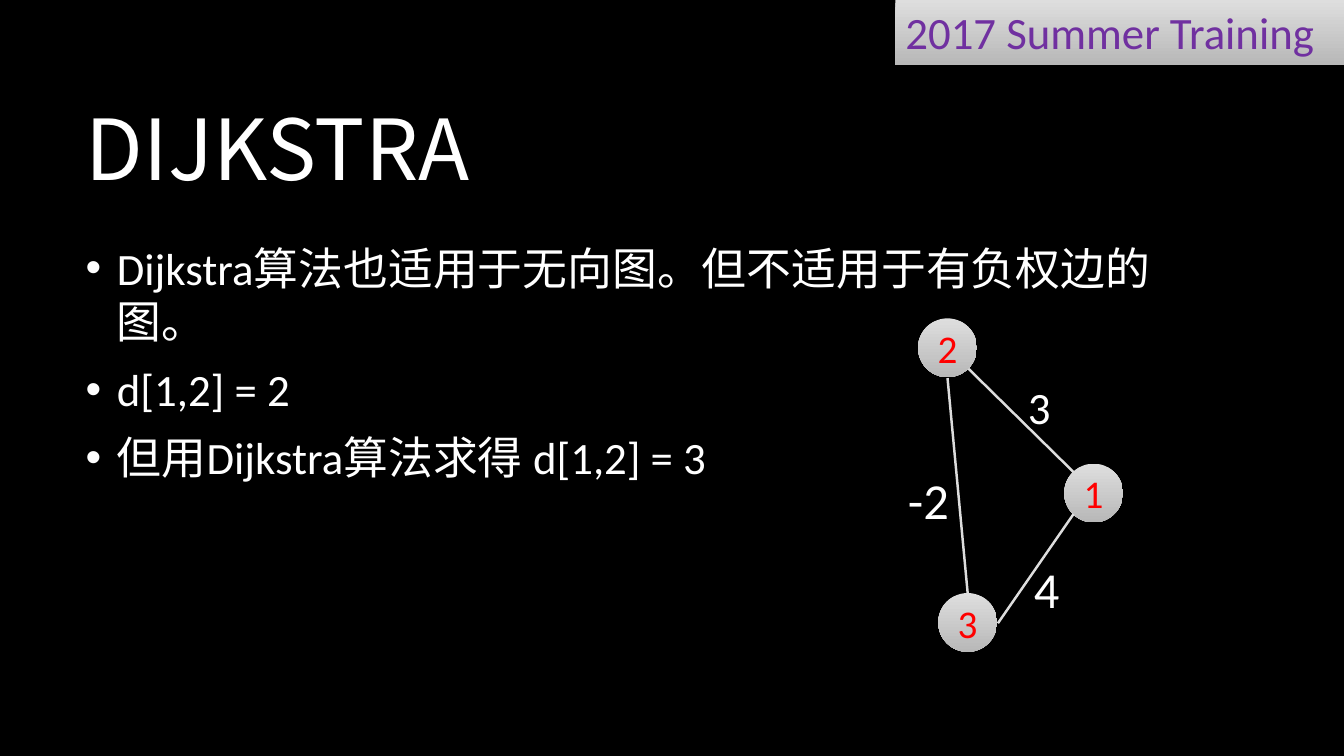
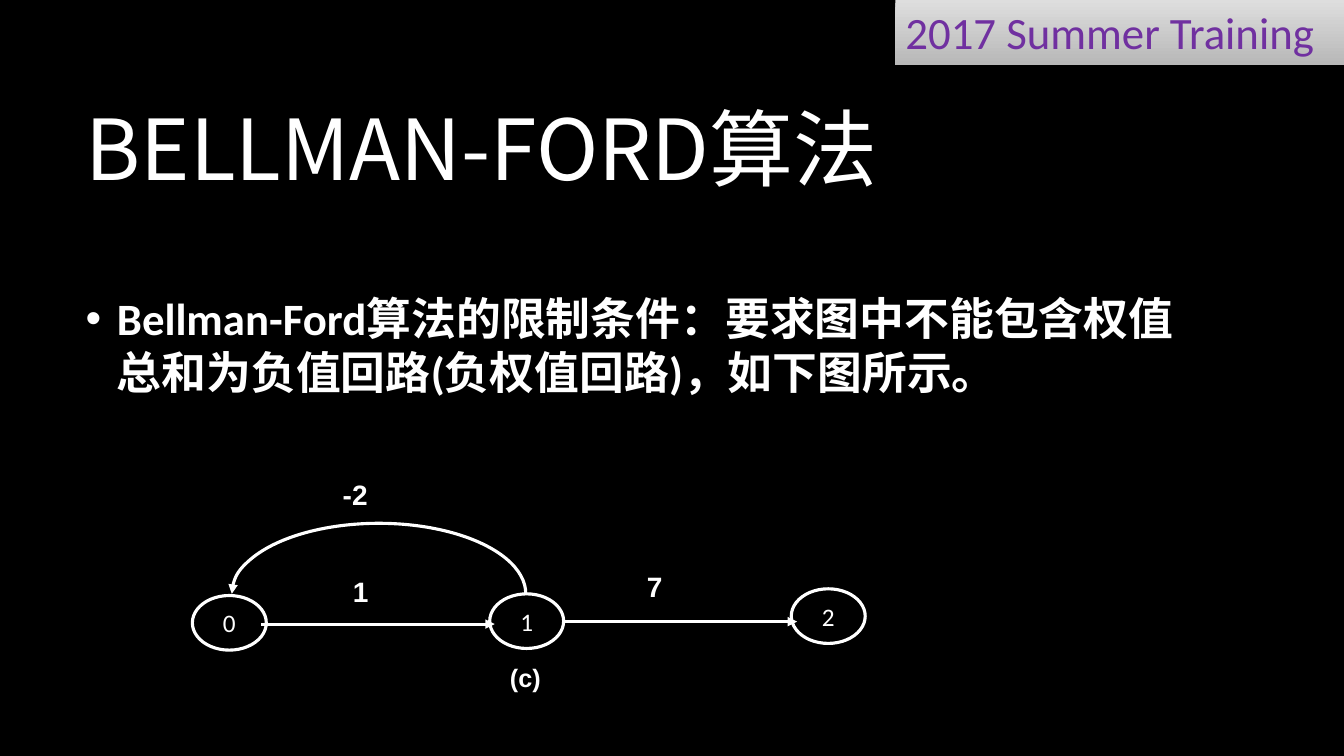
from pptx import Presentation
from pptx.dml.color import RGBColor
from pptx.enum.shapes import MSO_CONNECTOR, MSO_SHAPE
from pptx.enum.text import MSO_ANCHOR, MSO_AUTO_SIZE, PP_ALIGN
from pptx.oxml.ns import qn
from pptx.util import Inches, Pt
from lxml import etree

RECT, OVAL, ARC = MSO_SHAPE.RECTANGLE, MSO_SHAPE.OVAL, MSO_SHAPE.ARC
LINE = MSO_CONNECTOR.STRAIGHT
TOP, MID = MSO_ANCHOR.TOP, MSO_ANCHOR.MIDDLE
LEFT, MIDDLE = PP_ALIGN.LEFT, PP_ALIGN.CENTER
FIXED = MSO_AUTO_SIZE.NONE

HEX = {"back": "000000", "text": "FFFFFF", "edge": "DDDDDD", "light": "DEDEDE",
       "dark": "B8B8B8", "band": "7030A0", "node": "FF0000"}
BODY, HEAD, MARK = "Calibri", "Noto Sans CJK JP", "Arial"
COLS, ROWS = 160, 90  # the slide as a grid of square cells
CELL = Inches(7.5) / ROWS


def cells(*sizes):
    return [round(size * CELL) for size in sizes]


def color(name):
    return RGBColor.from_string(HEX[name])


def write(frame, text, size=32, font=BODY, ink="text", bold=False, align=LEFT,
          anchor=TOP, wrap=True, inset=None, bullet=False):
    """Fill a text frame, one paragraph for each line of the text."""
    frame.auto_size, frame.word_wrap, frame.vertical_anchor = FIXED, wrap, anchor
    if inset is not None:
        frame.margin_left = frame.margin_right = inset
        frame.margin_top = frame.margin_bottom = inset
    for i, line in enumerate(text.split("\n")):
        para = frame.add_paragraph() if i else frame.paragraphs[0]
        para.alignment, para.line_spacing = align, 1.0
        para.space_before = Pt(0)
        if bullet:
            para.space_after = Pt(10)
            props = para._p.get_or_add_pPr()
            props.set("marL", str(Inches(0.31)))
            props.set("indent", str(-Inches(0.31)))
            tint = etree.SubElement(props, qn("a:buClr"))
            etree.SubElement(tint, qn("a:srgbClr"), val=HEX[ink])
            etree.SubElement(props, qn("a:buFont"), typeface=MARK)
            etree.SubElement(props, qn("a:buChar"), char="•")
        run = para.add_run()
        run.text = line
        run.font.size, run.font.name, run.font.bold = Pt(size), font, bold
        run.font.color.rgb = color(ink)
        etree.SubElement(run.font._element, qn("a:ea"), typeface=font)


class Deck:
    def __init__(self):
        self.prs = Presentation()
        self.prs.slide_width, self.prs.slide_height = cells(COLS, ROWS)
        fill = self.prs.slide_master.background.fill
        fill.solid()
        fill.fore_color.rgb = color("back")

    def page(self, title):
        """Start a slide with its corner band and title."""
        self.slide = self.prs.slides.add_slide(self.prs.slide_layouts[1])
        band = self.shape(RECT, 106.6, 0, 53.4, 7.7, shade=True)
        write(band.text_frame, "2017 Summer Training", ink="band")
        self.holder(0, title, 8, 19, size=60, font=HEAD, anchor=MID)

    def holder(self, index, text, y, h, **style):
        box = self.slide.placeholders[index]
        box.left, box.top, box.width, box.height = cells(9, y, 133, h)
        write(box.text_frame, text, **style)

    def list(self, text, y, h, **style):
        self.holder(1, text, y, h, bullet=True, **style)

    def shape(self, kind, x, y, w, h, shade=False):
        """Add a shape: grey gradient without a line, or white outline only."""
        item = self.slide.shapes.add_shape(kind, *cells(x, y, w, h))
        item.shadow.inherit = False
        if shade:
            item.fill.gradient()
            item.fill.gradient_angle = 270
            for stop, name in zip(item.fill.gradient_stops, ("light", "dark")):
                stop.color.rgb = color(name)
            item.line.fill.background()
        else:
            item.fill.background()
            self.pen(item.line)
        return item

    def pen(self, line, ink="text", width=2.25, tip=None):
        line.color.rgb, line.width = color(ink), Pt(width)
        if tip:
            etree.SubElement(line._get_or_add_ln(), qn("a:" + tip), type="triangle")

    def node(self, text, x, y, w, h, shade=False, **style):
        item = self.shape(OVAL, x, y, w, h, shade)
        write(item.text_frame, text, align=MIDDLE, anchor=MID, wrap=False, **style)

    def label(self, text, x, y, w, h, **style):
        box = self.slide.shapes.add_textbox(*cells(x, y, w, h))
        write(box.text_frame, text, **style)

    def link(self, x1, y1, x2, y2, **style):
        item = self.slide.shapes.add_connector(LINE, *cells(x1, y1, x2, y2))
        self.pen(item.line, **style)
        etree.SubElement(item._element.spPr, qn("a:effectLst"))

    def arch(self, x, y, w, h):
        """Upper half of an ellipse, with an arrowhead at its left end."""
        item = self.shape(ARC, x, y, w, 2 * h)
        item.adjustments[0], item.adjustments[1] = 108, 0
        self.pen(item.line, tip="headEnd")


def main():
    deck = Deck()

    # Undirected graph with a negative edge
    deck.page("DIJKSTRA")
    deck.list("Dijkstra算法也适用于无向图。但不适用于有负权边的图。\n"
              "d[1,2] = 2\n"
              "但用Dijkstra算法求得 d[1,2] = 3", 28, 48)
    for text, x, y in (("2", 109.3, 37.9), ("3", 111.7, 70.6), ("1", 126.7, 55.2)):
        deck.node(text, x, y, 7, 7, shade=True, size=28, ink="node")
    for text, x, y, size in (("-2", 106.9, 55.2, 36), ("3", 121.2, 44.6, 32),
                             ("4", 121.9, 65.9, 36)):
        deck.label(text, x, y, 9, 8.5, size=size)
    for ends in ((112.8, 45, 115.2, 70.6), (115.3, 43.9, 127.8, 56.2),
                 (127.8, 61.2, 118.8, 74.2)):
        deck.link(*ends, ink="edge", width=1.75)

    # Directed graph with a negative cycle
    deck.page("BELLMAN-FORD算法")
    deck.list("Bellman-Ford算法的限制条件：要求图中不能包含权值总和为负值回路"
              "(负权值回路)，如下图所示。", 28, 26, bold=True, anchor=MID)
    for text, x, y in (("0", 22.9, 70.9), ("1", 58.3, 70.7), ("2", 94.2, 70.1)):
        deck.node(text, x, y, 8.8, 6.5, size=18, inset=0)
    for x, y in ((31.1, 74.3), (67.1, 74)):
        deck.link(x, y, x + 27.8, y, tip="tailEnd")
    for text, x, y in (("1", 42, 68.4), ("7", 77, 67.8), ("-2", 40.8, 56.8)):
        deck.label(text, x, y, 5.4, 5.5, size=20, font=MARK, bold=True, inset=0)
    deck.label("(c)", 55.6, 78.8, 13.9, 5, size=18, font=MARK, bold=True,
               align=MIDDLE, inset=0)
    deck.arch(27.6, 62.3, 35, 8.4)

    deck.prs.save("out.pptx")


if __name__ == "__main__":
    main()
